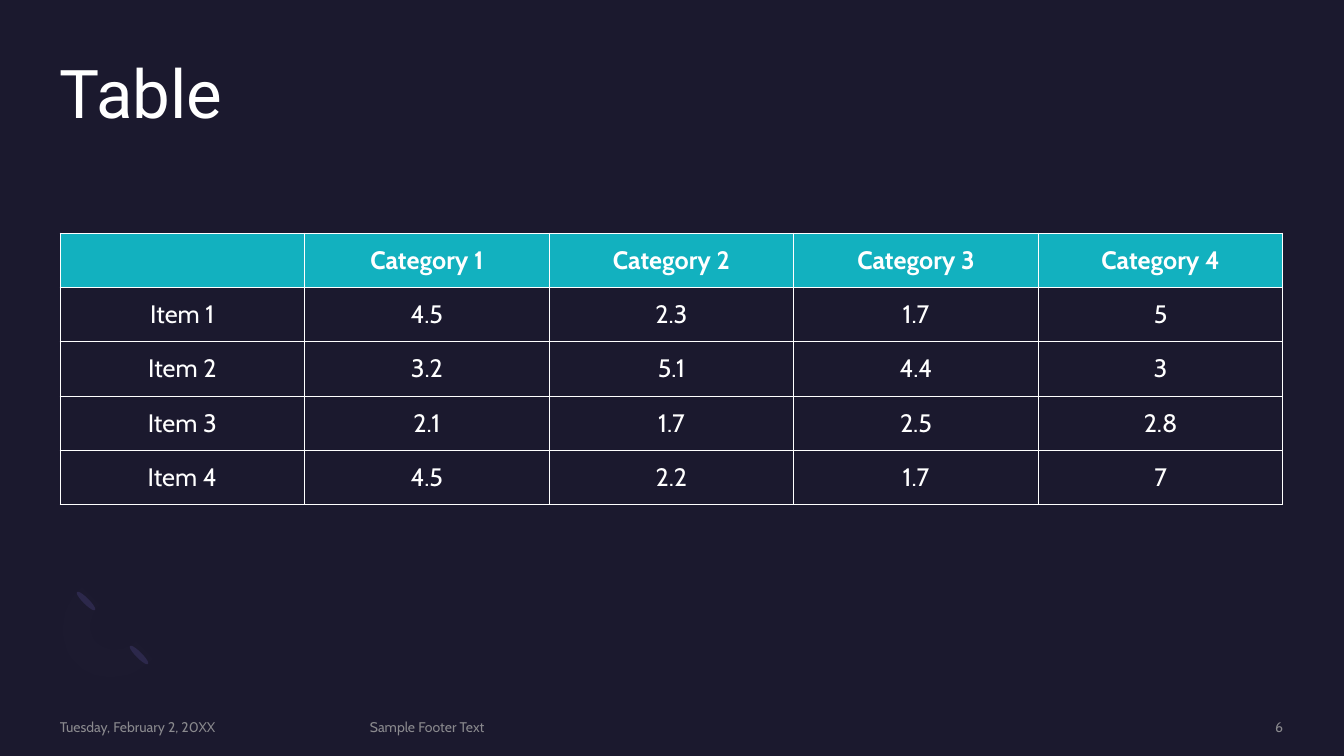
from lxml import etree
from pptx import Presentation
from pptx.dml.color import RGBColor
from pptx.enum.shapes import MSO_SHAPE
from pptx.enum.text import MSO_ANCHOR, PP_ALIGN
from pptx.oxml.ns import qn
from pptx.util import Emu, Pt

SCALE = 914400 / 100.8
OVAL = MSO_SHAPE.OVAL
TOP, MIDDLE = MSO_ANCHOR.TOP, MSO_ANCHOR.MIDDLE
LEFT, CENTER, RIGHT = PP_ALIGN.LEFT, PP_ALIGN.CENTER, PP_ALIGN.RIGHT

NIGHT = RGBColor(0x1B, 0x19, 0x2E)
WHITE = RGBColor(0xFF, 0xFF, 0xFF)
TEAL = RGBColor(0x12, 0xB1, 0xBF)
GREY = RGBColor(0xA6, 0xA6, 0xA6)
INDIGO = RGBColor(0x2C, 0x28, 0x4A)
LAVENDER = RGBColor(0x77, 0x71, 0xB2)

HEADINGS = ["", "Category 1", "Category 2", "Category 3", "Category 4"]
ITEMS = [
    ["Item 1", "4.5", "2.3", "1.7", "5"],
    ["Item 2", "3.2", "5.1", "4.4", "3"],
    ["Item 3", "2.1", "1.7", "2.5", "2.8"],
    ["Item 4", "4.5", "2.2", "1.7", "7"],
]
FOOTERS = [
    (60, 290, "Tuesday, February 2, 20XX", LEFT),
    (370, 704, "Sample Footer Text", LEFT),
    (1097, 186, "6", RIGHT),
]
RING_END_CAPS = [(136, 642), (83, 588)]
# Each edge of the ring is a chain of cubic curves: start, two controls, end.
OUTER_EDGE = [
    [(153, 659), (131, 681), (96, 684), (77, 664)],
    [(77, 664), (56, 644), (58, 610), (82, 587)],
]
INNER_EDGE = [
    [(100, 605), (88, 616), (87, 634), (97, 643)],
    [(97, 643), (107, 653), (124, 652), (136, 641)],
]


def px(length):
    """Turn pixels into EMU."""
    return Emu(round(length * SCALE))


def set_alpha(fill, percent):
    """Make a solid fill partly transparent."""
    color = fill._xPr.find(qn("a:solidFill"))[0]
    etree.SubElement(color, qn("a:alpha"), val=str(percent * 1000))


def write(paragraph, text, size, font, color, align, bold=False):
    """Add one formatted run to an aligned paragraph."""
    paragraph.alignment = align
    run = paragraph.add_run()
    run.text = text
    run.font.size = Pt(size)
    run.font.name = font
    run.font.bold = bold
    run.font.color.rgb = color
    return run


def add_label(slide, box, text, size, font, color, align=LEFT, anchor=TOP):
    """Add a text box without margins and return its paragraph and run."""
    frame = slide.shapes.add_textbox(*map(px, box)).text_frame
    frame.word_wrap = True
    frame.vertical_anchor = anchor
    frame.margin_left = frame.margin_right = 0
    frame.margin_top = frame.margin_bottom = 0
    paragraph = frame.paragraphs[0]
    return paragraph, write(paragraph, text, size, font, color, align)


def paint(shape, color):
    """Give a shape a plain fill with neither outline nor shadow."""
    shape.shadow.inherit = False
    shape.fill.solid()
    shape.fill.fore_color.rgb = color
    shape.line.fill.background()


def curve_points(curve, steps=12):
    """Return points along a cubic curve."""
    points = []
    for step in range(steps + 1):
        t = step / steps
        weights = ((1 - t) ** 3, 3 * t * (1 - t) ** 2, 3 * t * t * (1 - t), t ** 3)
        points.append(tuple(sum(w * p[axis] for w, p in zip(weights, curve))
                            for axis in (0, 1)))
    return points


def add_ring(slide):
    """Draw the faint half ring and the caps at its ends."""
    for left, top in RING_END_CAPS:
        cap = slide.shapes.add_shape(OVAL, px(left), px(top), px(6), px(26))
        cap.rotation = 135
        paint(cap, INDIGO)
    outline = [point for curve in OUTER_EDGE + INNER_EDGE
               for point in curve_points(curve)]
    builder = slide.shapes.build_freeform(*outline[0], scale=SCALE)
    builder.add_line_segments(outline[1:], close=True)
    ring = builder.convert_to_shape()
    paint(ring, LAVENDER)
    set_alpha(ring.fill, 1)


def add_borders(cell):
    """Draw a thin white line on all four sides of a cell."""
    properties = cell._tc.get_or_add_tcPr()
    for index, side in enumerate(("lnL", "lnR", "lnT", "lnB")):
        line = etree.Element(qn(f"a:{side}"), w=str(Pt(0.75)))
        fill = etree.SubElement(line, qn("a:solidFill"))
        etree.SubElement(fill, qn("a:srgbClr"), val=str(WHITE))
        properties.insert(index, line)


def add_data_table(slide):
    """Add the table of items by category."""
    rows = [HEADINGS] + ITEMS
    box = map(px, (60, 233, 1223, 272))
    table = slide.shapes.add_table(len(rows), len(HEADINGS), *box).table
    table.horz_banding = False
    for row_index, row in enumerate(rows):
        is_heading = row_index == 0
        for column_index, text in enumerate(row):
            cell = table.cell(row_index, column_index)
            cell.vertical_anchor = MIDDLE
            if is_heading:
                cell.fill.solid()
                cell.fill.fore_color.rgb = TEAL
            else:
                cell.fill.background()
            add_borders(cell)
            if text:
                write(cell.text_frame.paragraphs[0], text, 18, "Cabin",
                      WHITE, CENTER, is_heading)


def main():
    """Build the slide and save it."""
    deck = Presentation()
    deck.slide_width, deck.slide_height = px(1344), px(756)
    slide = deck.slides.add_slide(deck.slide_layouts[6])
    slide.background.fill.solid()
    slide.background.fill.fore_color.rgb = NIGHT

    add_ring(slide)
    title, _ = add_label(slide, (60, 60, 1223, 147), "Table", 48, "Roboto", WHITE)
    title.line_spacing = 0.9
    add_data_table(slide)
    for left, width, text, align in FOOTERS:
        _, footer = add_label(slide, (left, 718, width, 17), text, 10, "Cabin",
                              GREY, align, MIDDLE)
        set_alpha(footer.font.fill, 80)
    deck.save("out.pptx")


if __name__ == "__main__":
    main()
